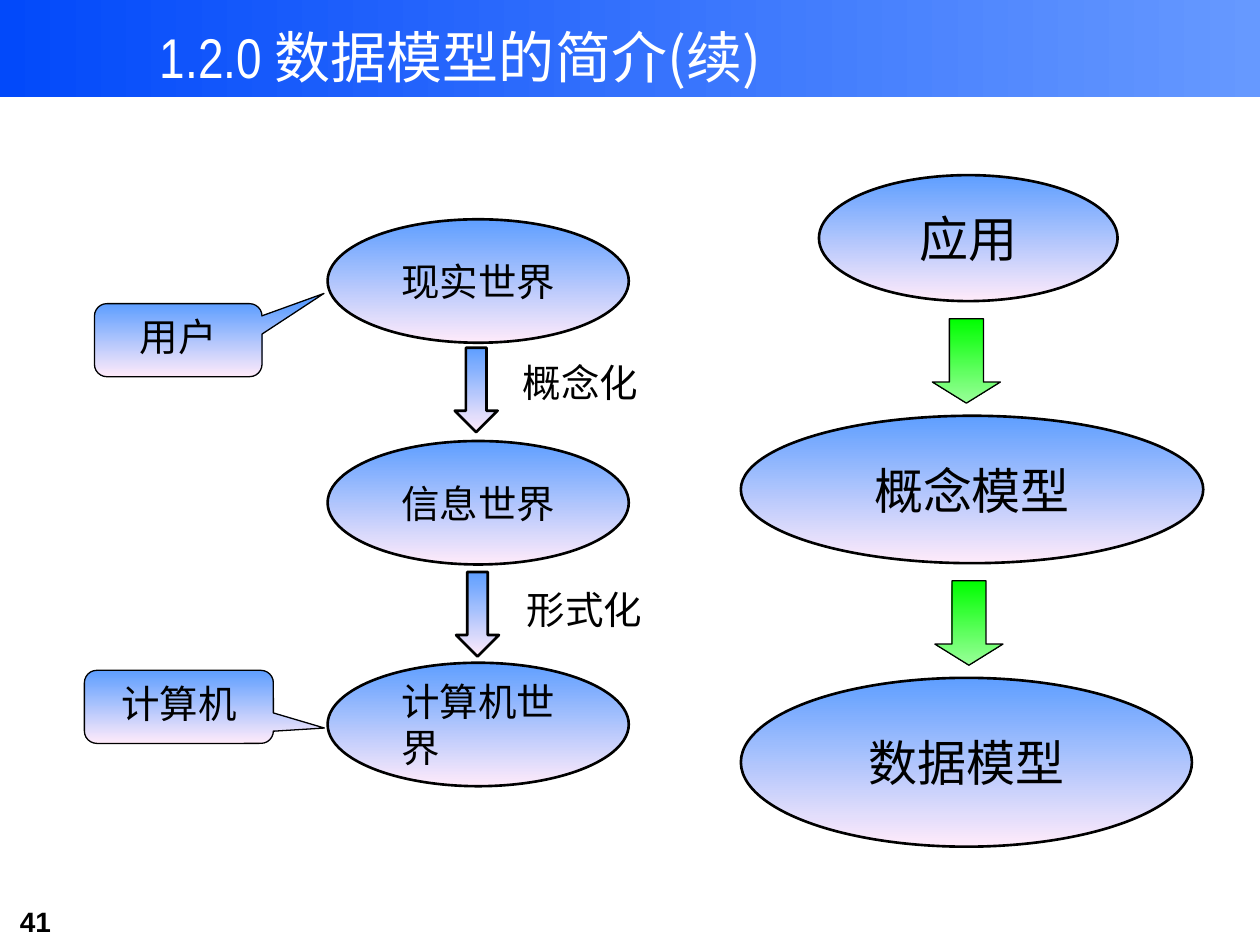
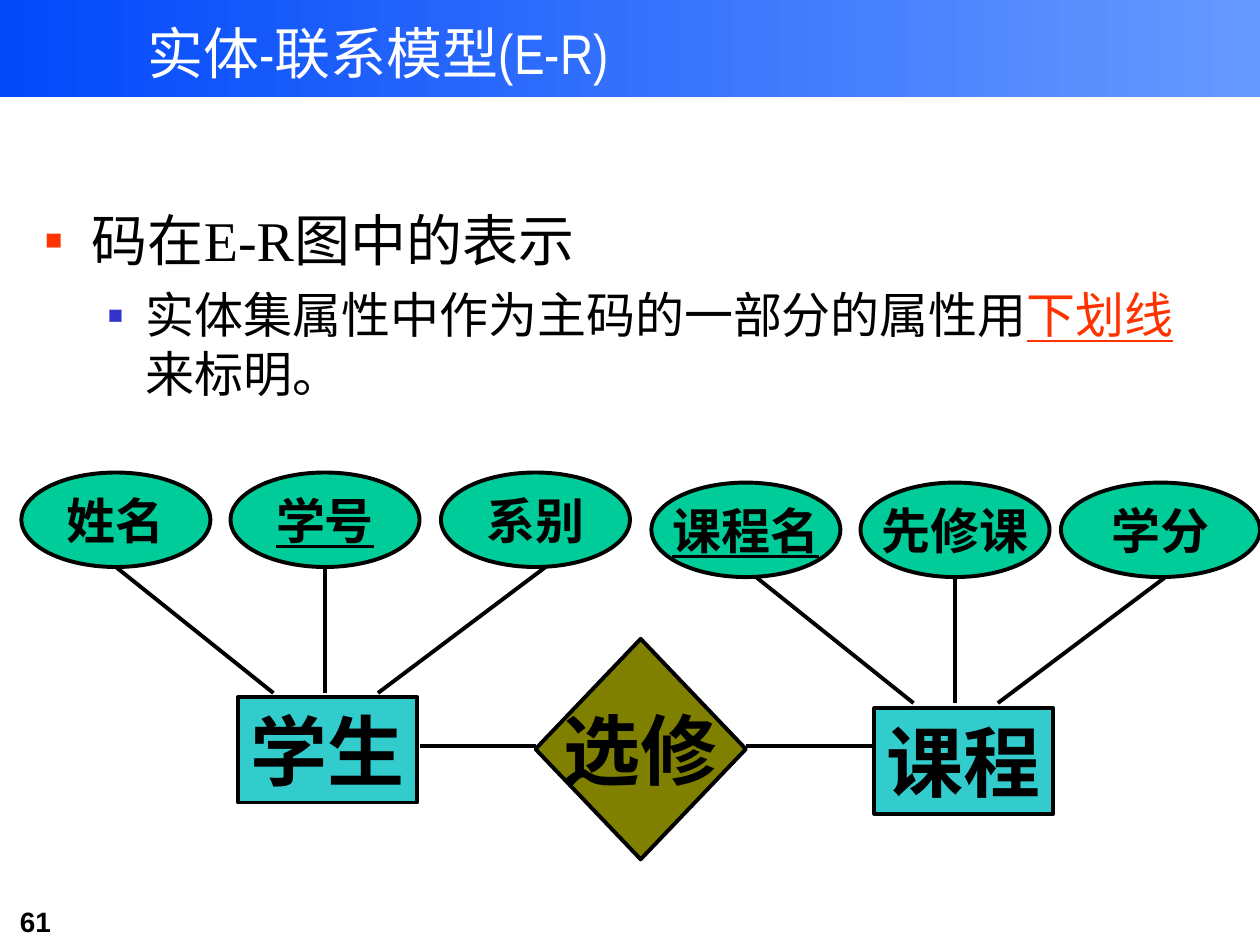
"""Build two database-course slides: data model levels and keys in E-R diagrams."""
from dataclasses import dataclass

from lxml.etree import SubElement
from pptx import Presentation
from pptx.dml.color import RGBColor
from pptx.enum.shapes import MSO_CONNECTOR as Connector, MSO_SHAPE as Shape
from pptx.enum.text import MSO_ANCHOR as Anchor, PP_ALIGN as Align
from pptx.oxml.ns import qn
from pptx.util import Inches, Pt


@dataclass(frozen=True)
class Theme:
    black: str = "000000"
    white: str = "FFFFFF"
    red: str = "FF3300"
    blue: str = "3333CC"
    band: tuple = ("0249FA", "6699FF")
    sky: tuple = ("5E9EFF", "FFEBFA")
    green: tuple = ("00FF00", "99FF99")
    entity: str = "33CCCC"
    relation: str = "808000"
    attribute: str = "00CC99"
    narrow: str = "Arial Narrow"
    sans: str = "Arial"
    serif: str = "Times New Roman"
    cjk: str = "Noto Sans CJK SC"
    number_size: int = 16
    label_size: int = 22
    model_size: int = 28
    title_size: int = 32
    entity_size: int = 44
    thin: float = 0.75
    medium: float = 1.5
    thick: float = 2.25


class Deck:
    def __init__(self, theme):
        self.theme = theme
        self.prs = Presentation()
        self.prs.slide_width, self.prs.slide_height = Inches(10), Inches(7.5)
        self.slide = None

    def new_slide(self, number, title_box, title_runs):
        t = self.theme
        self.slide = self.prs.slides.add_slide(self.prs.slide_layouts[6])
        self.shape(Shape.RECTANGLE, (0, 0, 10, 0.77), t.band, angle=0)
        self.text((0.06, 7.13, 1.22, 0.37), number, t.number_size, t.sans, bold=True)
        title = self.text(title_box, "", t.title_size, t.narrow, t.white)
        title.line_spacing = 1.5
        for words, face in title_runs:
            run = title.add_run()
            run.text = words
            self.style(run.font, t.title_size, face, t.white)

    def style(self, font, size, face, color, bold=False, underline=None):
        font.size, font.name, font.bold, font.underline = Pt(size), face, bold, underline
        font.color.rgb = RGBColor.from_string(color)
        east_asian = font._rPr.find(qn("a:ea"))
        if east_asian is None:
            east_asian = SubElement(font._rPr, qn("a:ea"))
        east_asian.set("typeface", self.theme.cjk)

    def text(self, box, words, size, face, color=None, bold=False, wrap=True, inset=True):
        frame = self.slide.shapes.add_textbox(*map(Inches, box)).text_frame
        frame.word_wrap = wrap
        if not inset:
            frame.margin_left = frame.margin_right = 0
            frame.margin_top = frame.margin_bottom = 0
        paragraph = frame.paragraphs[0]
        if words:
            paragraph.text = words
        self.style(paragraph.font, size, face, color or self.theme.black, bold)
        return paragraph

    def shape(self, kind, box, fill, line=None, adjust=(), angle=270):
        shape = self.slide.shapes.add_shape(kind, *map(Inches, box))
        shape.shadow.inherit = False
        for i, value in enumerate(adjust):
            shape.adjustments[i] = value
        if isinstance(fill, tuple):
            shape.fill.gradient()
            shape.fill.gradient_angle = angle
            for stop, color in zip(shape.fill.gradient_stops, fill):
                stop.color.rgb = RGBColor.from_string(color)
        else:
            shape.fill.solid()
            shape.fill.fore_color.rgb = RGBColor.from_string(fill)
        if line:
            shape.line.width = Pt(line)
            shape.line.color.rgb = RGBColor.from_string(self.theme.black)
        else:
            shape.line.fill.background()
        return shape

    def label(self, shape, words, size, face, align=Align.CENTER, anchor=Anchor.MIDDLE,
              wrap=True, bold=False, underline=None):
        frame = shape.text_frame
        frame.word_wrap, frame.vertical_anchor = wrap, anchor
        paragraph = frame.paragraphs[0]
        paragraph.text, paragraph.alignment = words, align
        self.style(paragraph.font, size, face, self.theme.black, bold, underline)

    def model(self, box, words, size):
        t = self.theme
        oval = self.shape(Shape.OVAL, box, t.sky, t.medium)
        self.label(oval, words, size, t.cjk, align=Align.LEFT)
        oval.text_frame._txBody.bodyPr.set("anchorCtr", "1")

    def callout(self, box, words, adjust):
        t = self.theme
        bubble = self.shape(Shape.ROUNDED_RECTANGULAR_CALLOUT, box, t.sky, t.thin, adjust)
        self.label(bubble, words, t.label_size, t.serif, anchor=Anchor.TOP)

    def er_node(self, kind, box, words, fill, size, underline=None):
        t = self.theme
        node = self.shape(kind, box, fill, t.thick)
        self.label(node, words, size, t.serif, wrap=False, bold=True, underline=underline)

    def line(self, start, end):
        line = self.slide.shapes.add_connector(Connector.STRAIGHT, *map(Inches, start + end))
        line.line.width = Pt(self.theme.thick)
        line.line.color.rgb = RGBColor.from_string(self.theme.black)
        SubElement(line._element.spPr, qn("a:effectLst"))

    def bullet(self, paragraph, color, left, hanging):
        props = paragraph._p.get_or_add_pPr()
        props.set("marL", str(Inches(left)))
        props.set("indent", str(-Inches(hanging)))
        SubElement(SubElement(props, qn("a:buClr")), qn("a:srgbClr")).set("val", color)
        SubElement(props, qn("a:buFont")).set("typeface", self.theme.sans)
        SubElement(props, qn("a:buChar")).set("char", "▪")


def data_model_slide(deck):
    t = deck.theme
    deck.new_slide("41", (1.17, -0.14, 5.42, 0.9),
                   [("1.2.0 ", t.narrow), ("数据模型的简介(续)", t.cjk)])
    for i, world in enumerate(("现实世界", "信息世界", "计算机世界")):
        deck.model((2.6, 1.74 + 1.76 * i, 2.39, 0.98), world, t.label_size)
    for left, top in ((3.61, 2.76), (3.62, 4.54)):
        deck.shape(Shape.DOWN_ARROW, (left, top, 0.34, 0.67), t.sky, t.medium, (0.48, 0.5))
    for left, top, step in ((4.15, 2.85, "概念化"), (4.18, 4.65, "形式化")):
        deck.text((left, top, 0.92, 0.37), step, t.label_size, t.cjk, wrap=False, inset=False)
    deck.callout((0.75, 2.41, 1.33, 0.58), "用户", (0.87, -0.64, 0.17))
    deck.callout((0.67, 5.32, 1.5, 0.58), "计算机", (0.77, 0.29, 0.17))

    deck.model((6.5, 1.39, 2.37, 1), "应用", t.model_size)
    deck.model((5.88, 3.3, 3.67, 1.17), "概念模型", t.model_size)
    deck.model((5.88, 5.38, 3.58, 1.34), "数据模型", t.model_size)
    for left, top in ((7.4, 2.53), (7.42, 4.61)):
        deck.shape(Shape.DOWN_ARROW, (left, top, 0.54, 0.67), t.green, t.thin, (0.5, 0.31))


def er_key_slide(deck):
    t = deck.theme
    deck.new_slide("61", (1.07, -0.17, 6.67, 0.9), [("实体-联系模型(E-R)", t.narrow)])

    topic = deck.text((0.25, 1.58, 9.54, 1.8), "", t.title_size, t.serif)
    rule = topic._parent.add_paragraph()
    rule.level, rule.space_before = 1, Pt(7)
    for paragraph, color, left, hanging, size, runs in (
            (topic, t.red, 0.38, 0.38, t.title_size, [("码在E-R图中的表示", False)]),
            (rule, t.blue, 0.81, 0.31, t.model_size,
             [("实体集属性中作为主码的一部分的属性用", False), ("下划线", True),
              ("来标明。", False)])):
        props = paragraph._p.get_or_add_pPr()
        for default in props.findall(qn("a:defRPr")):
            props.remove(default)
        deck.bullet(paragraph, color, left, hanging)
        deck.style(paragraph.font, size, t.serif, t.black)
        for words, marked in runs:
            run = paragraph.add_run()
            run.text = words
            if marked:
                run.font.underline = True
                run.font.color.rgb = RGBColor.from_string(t.red)

    entities = (
        ("学生", 1.89, 5.53, 3.75, ((0.17, 1.5, "姓名"), (1.83, 1.5, "学号"), (3.5, 1.5, "系别")),
         ((2.17, 0.92), (2.58, 2.58), (3, 4.33))),
        ("课程", 6.94, 5.62, 3.83, ((5.17, 1.5, "课程名"), (6.83, 1.5, "先修课"), (8.42, 1.58, "学分")),
         ((7.25, 6), (7.58, 7.58), (7.92, 9.25))))
    keys = {"学号", "课程名"}
    for entity, left, top, attribute_top, attributes, spokes in entities:
        deck.er_node(Shape.RECTANGLE, (left, top, 1.42, 0.84), entity, t.entity, t.entity_size)
        for x, width, name in attributes:
            deck.er_node(Shape.OVAL, (x, attribute_top, width, 0.75), name, t.attribute,
                         t.model_size, underline=True if name in keys else None)
        for foot, head in spokes:
            deck.line((foot, attribute_top + 1.75), (head, attribute_top + 0.75))
    deck.er_node(Shape.DIAMOND, (4.25, 5.07, 1.67, 1.75), "选修", t.relation, t.entity_size)
    for start, end in ((4.25, 3.33), (6.92, 5.92)):
        deck.line((start, 5.92), (end, 5.92))


def main():
    deck = Deck(Theme())
    data_model_slide(deck)
    er_key_slide(deck)
    deck.prs.save("out.pptx")


if __name__ == "__main__":
    main()
